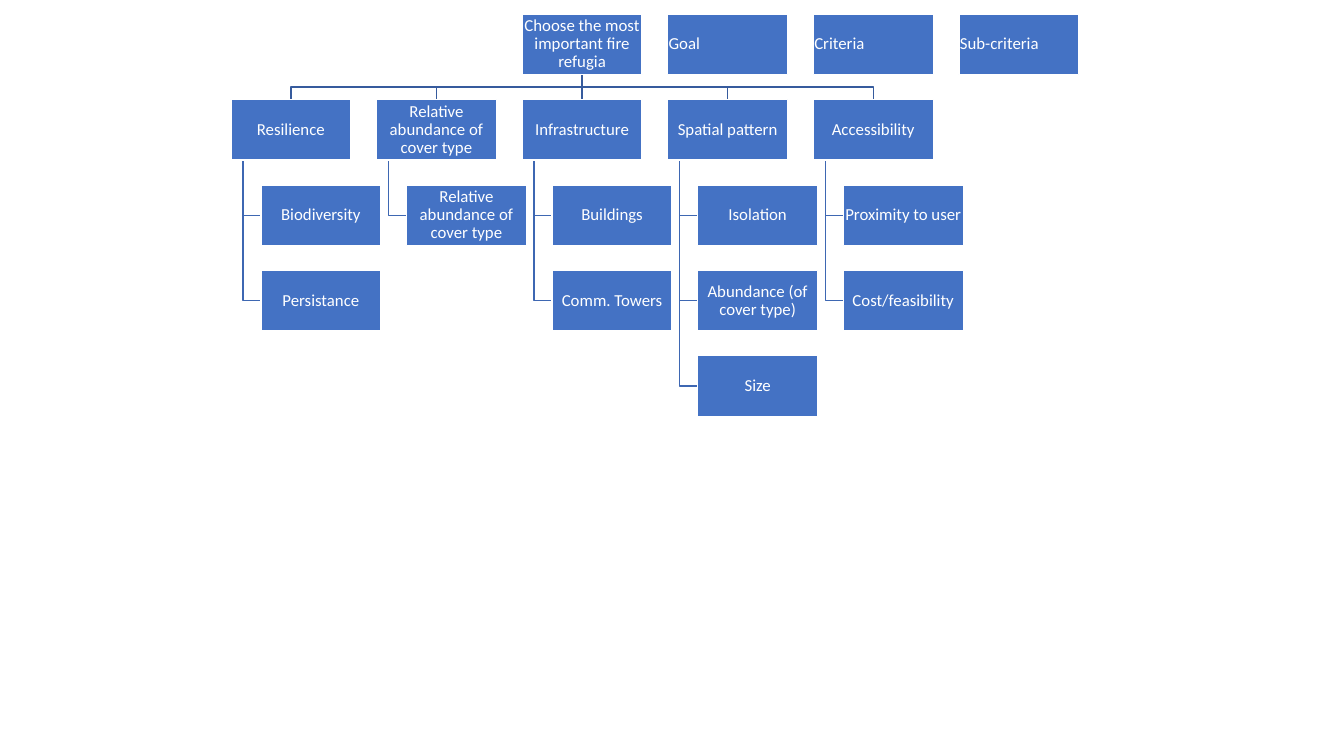
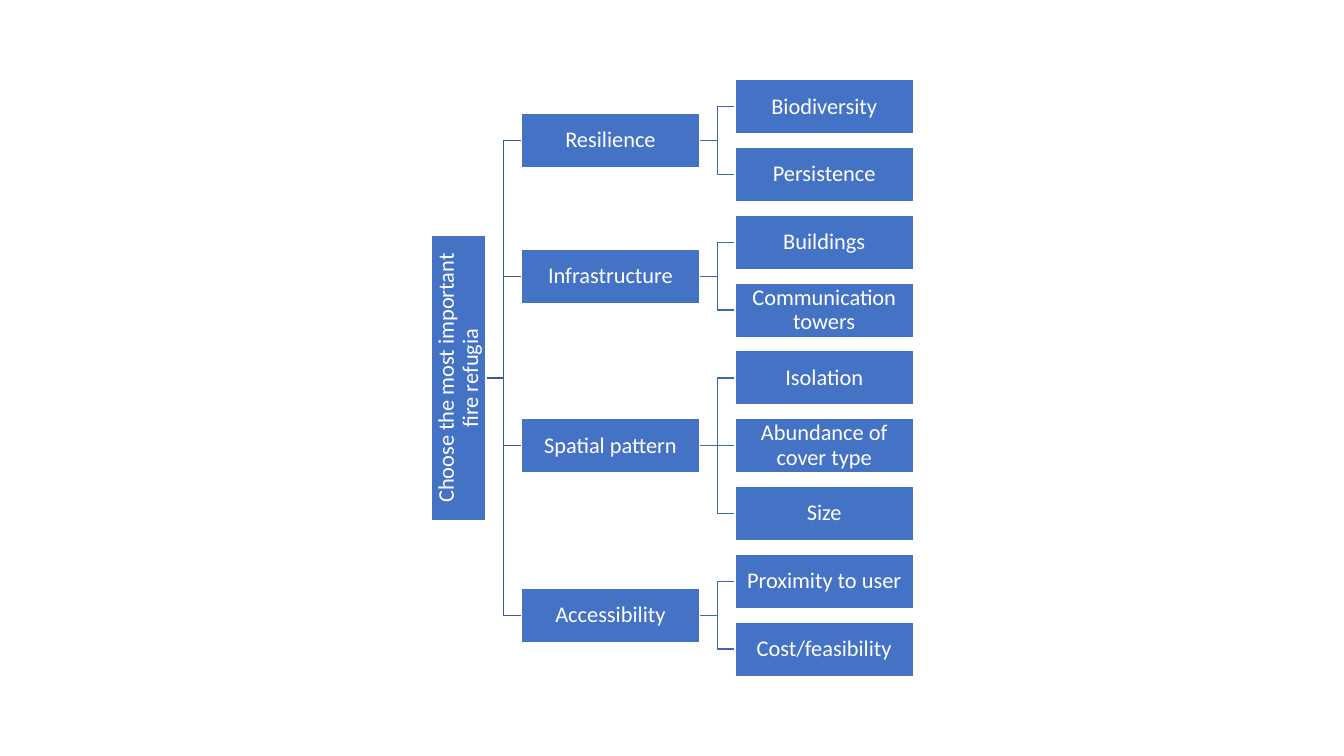
import pptx
import pptx.dml.color
import pptx.enum.shapes
import pptx.enum.text
import pptx.util
from pptx.util import Inches
from lxml import etree

COLORS = {"box": "4472C4", "edge": "FFFFFF", "text": "FFFFFF",
          "goal_line": "365B9D", "criterion_line": "3E67B2"}
FONT = "Calibri"
GOAL = "Choose the most important fire refugia"
LEFT = pptx.enum.text.PP_ALIGN.LEFT
CENTER = pptx.enum.text.PP_ALIGN.CENTER

HANGING_TREE = [
    ("Resilience", ["Biodiversity", "Persistance"]),
    ("Relative abundance of cover type", ["Relative abundance of cover type"]),
    ("Infrastructure", ["Buildings", "Comm. Towers"]),
    ("Spatial pattern", ["Isolation", "Abundance (of cover type)", "Size"]),
    ("Accessibility", ["Proximity to user", "Cost/feasibility"]),
]
SIDEWAYS_TREE = [
    ("Resilience", ["Biodiversity", "Persistence"]),
    ("Infrastructure", ["Buildings", "Communication towers"]),
    ("Spatial pattern", ["Isolation", "Abundance of cover type", "Size"]),
    ("Accessibility", ["Proximity to user", "Cost/feasibility"]),
]


def rgb(name):
    return pptx.dml.color.RGBColor.from_string(COLORS[name])


class TreeDeck:
    """Holds the deck, the current page and the style of boxes and lines."""

    def __init__(self):
        self.deck = pptx.Presentation()
        self.deck.slide_width = Inches(13.33)
        self.deck.slide_height = Inches(7.5)

    def start_page(self, box_width, box_height, text_size):
        self.page = self.deck.slides.add_slide(self.deck.slide_layouts[6])
        self.box_width, self.box_height = box_width, box_height
        self.text_size = text_size

    def box(self, text, left, top, width=None, align=CENTER, rotation=0):
        box = self.page.shapes.add_shape(
            pptx.enum.shapes.MSO_SHAPE.RECTANGLE, Inches(left), Inches(top),
            Inches(width or self.box_width), Inches(self.box_height))
        box.shadow.inherit = False
        box.rotation = rotation
        box.fill.solid()
        box.fill.fore_color.rgb = rgb("box")
        box.line.color.rgb = rgb("edge")
        box.line.width = pptx.util.Pt(1)
        frame = box.text_frame
        frame.word_wrap = True
        frame.vertical_anchor = pptx.enum.text.MSO_ANCHOR.MIDDLE
        frame.margin_left = frame.margin_right = Inches(0.01)
        frame.margin_top = frame.margin_bottom = Inches(0.01)
        paragraph = frame.paragraphs[0]
        paragraph.text = text
        paragraph.alignment = align
        paragraph.line_spacing = 0.9
        paragraph.font.name = FONT
        paragraph.font.size = pptx.util.Pt(self.text_size)
        paragraph.font.color.rgb = rgb("text")

    def branch(self, color, points):
        """Draw a line through the points; a straight one is a connector."""
        points = [(Inches(x), Inches(y)) for x, y in points]
        start, end = points[0], points[-1]
        if start[0] == end[0] or start[1] == end[1]:
            line = self.page.shapes.add_connector(
                pptx.enum.shapes.MSO_CONNECTOR.STRAIGHT, *start, *end)
            etree.SubElement(line._element.spPr,
                             pptx.oxml.ns.qn("a:effectLst"))
        else:
            builder = self.page.shapes.build_freeform(*start)
            builder.add_line_segments(points[1:], close=False)
            line = builder.convert_to_shape()
            line.shadow.inherit = False
            line.fill.background()
        line.line.color.rgb = rgb(color)
        line.line.width = pptx.util.Pt(1)

    def side_branch(self, color, left, start_y, right, end_y):
        middle = (left + right) / 2
        self.branch(color, [(left, start_y), (middle, start_y),
                            (middle, end_y), (right, end_y)])


def add_hanging_page(tree):
    width, height = 1.19, 0.6
    tree.start_page(width, height, 12)
    columns = [2.29 + i * (9.51 - 2.29) / 5 for i in range(6)]
    rows = [0.14 + i * (3.53 - 0.14) / 4 for i in range(5)]
    goal_left = columns[2]
    goal_x, goal_bottom = goal_left + width / 2, rows[0] + height
    bar_y = (goal_bottom + rows[1]) / 2

    # Lines from the goal and down each column
    for left, (_, subs) in zip(columns, HANGING_TREE):
        x = left + width / 2
        tree.branch("goal_line", [(goal_x, goal_bottom), (goal_x, bar_y),
                                  (x, bar_y), (x, rows[1])])
        spine = left + width / 10
        for top in rows[2:2 + len(subs)]:
            y = top + height / 2
            tree.branch("criterion_line", [(spine, rows[1] + height),
                                           (spine, y), (left + width / 4, y)])

    # Goal, criteria and sub-criteria
    tree.box(GOAL, goal_left, rows[0])
    for left, (criterion, subs) in zip(columns, HANGING_TREE):
        tree.box(criterion, left, rows[1])
        for top, sub in zip(rows[2:], subs):
            tree.box(sub, left + width / 4, top)

    # Level names
    for left, level in zip(columns[3:], ["Goal", "Criteria", "Sub-criteria"]):
        tree.box(level, left, rows[0], align=LEFT)


def add_sideways_page(tree):
    width, height = 1.77, 0.54
    tree.start_page(width, height, 16)
    goal_length, goal_x, goal_y = 2.83, 4.55, 3.75
    criterion_left, sub_left = 5.17, 7.29
    rows = [1.06 + i * (6.44 - 1.06) / 8 for i in range(9)]

    # Each criterion sits halfway between its first and last sub-criterion
    groups, first = [], 0
    for criterion, subs in SIDEWAYS_TREE:
        centers = rows[first:first + len(subs)]
        groups.append((criterion, (centers[0] + centers[-1]) / 2,
                       list(zip(subs, centers))))
        first += len(subs)

    # Lines
    for _, y, subs in groups:
        tree.side_branch("goal_line", goal_x + height / 2, goal_y,
                         criterion_left, y)
        for _, sub_y in subs:
            tree.side_branch("criterion_line", criterion_left + width, y,
                             sub_left, sub_y)

    # Boxes
    tree.box(GOAL, goal_x - goal_length / 2, goal_y - height / 2,
             width=goal_length, rotation=270)
    for criterion, y, subs in groups:
        tree.box(criterion, criterion_left, y - height / 2)
        for sub, sub_y in subs:
            tree.box(sub, sub_left, sub_y - height / 2)


def main():
    tree = TreeDeck()
    add_hanging_page(tree)
    add_sideways_page(tree)
    tree.deck.save("out.pptx")


if __name__ == "__main__":
    main()
